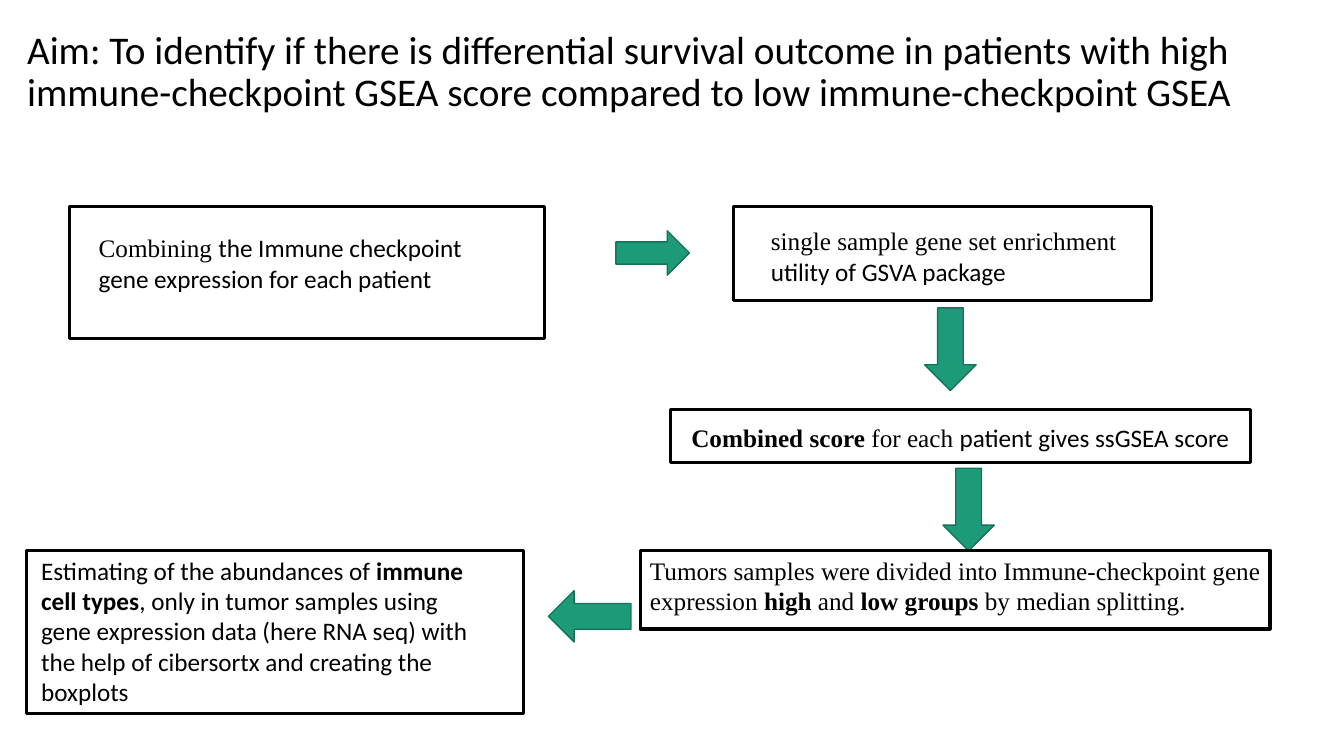
from pptx import Presentation
from pptx.dml.color import RGBColor
from pptx.enum.shapes import MSO_SHAPE as SHAPE
from pptx.enum.text import MSO_ANCHOR as ANCHOR, MSO_AUTO_SIZE as AUTO, PP_ALIGN as ALIGN
from pptx.util import Pt

BLACK = RGBColor(0x00, 0x00, 0x00)
GREEN = RGBColor(0x1D, 0x9A, 0x78)
DARK_GREEN = RGBColor(0x15, 0x72, 0x59)
SANS, SERIF = "Calibri", "Times New Roman"


class FlowSlide:
    def __init__(self, prs):
        self.s = prs.slides.add_slide(prs.slide_layouts[5])
        self.text_size, self.title_size = Pt(18), Pt(28)

    def style(self, p, size, font):
        p.alignment = ALIGN.LEFT
        p.font.size, p.font.name = size, font
        p.font.color.rgb = BLACK

    def title(self, text, x, y, w, h):
        sp = self.s.shapes.title
        sp.left, sp.top, sp.width, sp.height = Pt(x), Pt(y), Pt(w), Pt(h)
        tf = sp.text_frame
        tf.text = text
        tf.word_wrap, tf.auto_size = True, AUTO.NONE
        tf.vertical_anchor = ANCHOR.MIDDLE
        p = tf.paragraphs[0]
        p.line_spacing = 0.9
        self.style(p, self.title_size, SANS)

    def text(self, x, y, w, h, *paragraphs):
        """Each paragraph is its base font and (text, bold, font) runs; the last two are optional."""
        tf = self.s.shapes.add_textbox(Pt(x), Pt(y), Pt(w), Pt(h)).text_frame
        tf.word_wrap, tf.auto_size = True, AUTO.SHAPE_TO_FIT_TEXT
        for i, (base, *runs) in enumerate(paragraphs):
            p = tf.add_paragraph() if i else tf.paragraphs[0]
            self.style(p, self.text_size, base)
            for text, *extra in runs:
                r = p.add_run()
                r.text = text
                if extra:
                    r.font.bold = extra[0]
                if len(extra) > 1:
                    r.font.name = extra[1]

    def shape(self, kind, x, y, w, h, line, weight):
        sp = self.s.shapes.add_shape(kind, Pt(x), Pt(y), Pt(w), Pt(h))
        sp.shadow.inherit = False
        sp.line.color.rgb, sp.line.width = line, Pt(weight)
        return sp

    def frame(self, x, y, w, h):
        self.shape(SHAPE.RECTANGLE, x, y, w, h, BLACK, 2.25).fill.background()

    def arrow(self, x, y, w=59, h=36.7, rotation=0):
        sp = self.shape(SHAPE.RIGHT_ARROW, x, y, w, h, DARK_GREEN, 1)
        sp.fill.solid()
        sp.fill.fore_color.rgb = GREEN
        sp.rotation = rotation


def main():
    prs = Presentation()
    prs.slide_width, prs.slide_height = Pt(960), Pt(540)
    flow = FlowSlide(prs)
    flow.title("Aim: To identify if there is differential survival outcome in patients with high "
               "immune-checkpoint GSEA score compared to low immune-checkpoint GSEA",
               12.2, 0, 882, 104.4)

    flow.text(63.4, 162.7, 280.8, 72.7,
              (SANS, ("Combining ", False, SERIF), ("the Immune checkpoint",)),
              (SANS, ("gene expression for each patient",)))
    flow.text(543.6, 157.7, 264.2, 72.7,
              (SERIF, ("single sample gene set enrichment",)),
              (SANS, ("utility of GSVA package",)))
    flow.text(486.7, 298.1, 406.8, 28.8,
              (SERIF, ("Combined score ", True), ("for each ",),
               ("patient gives ssGSEA score", False, SANS)))
    flow.text(457.2, 393.1, 480.2, 51.1,
              (SERIF, ("Tumors samples were divided into Immune-checkpoint gene expression ",),
               ("high", True), (" and ",), ("low groups ", True), ("by median splitting.",)))
    flow.text(22.3, 393.1, 336.2, 116.6,
              (SANS, ("Estimating of the abundances of ",), ("immune cell types", True),
               (", only in tumor samples using gene expression data (here RNA seq) with "
                "the help of cibersortx and creating the boxplots",)))

    flow.arrow(439.9, 164.9, 52.6, 31.7)
    flow.arrow(649.4, 231.1, rotation=90)
    flow.arrow(662.4, 345.6, rotation=90)
    flow.arrow(391.7, 421.9, rotation=180)

    for box in ((49.7, 147.6, 339.1, 94.3), (524.2, 147.6, 298.1, 67),
                (478.8, 292.3, 414.7, 38.2), (457.2, 393.1, 450, 56.2),
                (18.7, 393.1, 355, 116.6)):
        flow.frame(*box)

    prs.save("out.pptx")


if __name__ == "__main__":
    main()
